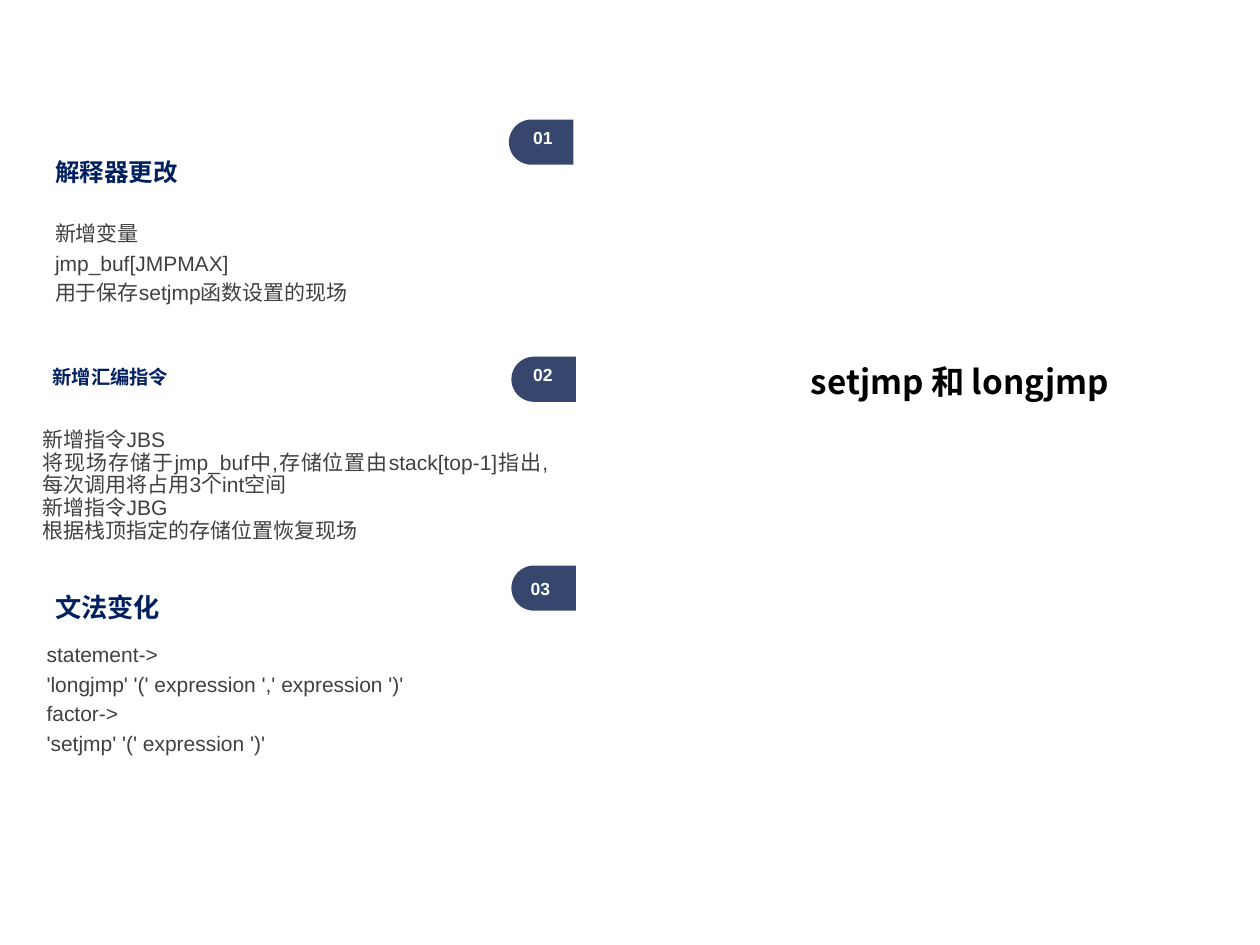
from dataclasses import dataclass

from pptx import Presentation
from pptx.dml.color import RGBColor
from pptx.enum import shapes, text
from pptx.util import Cm, Pt

NAVY = RGBColor(0x00, 0x20, 0x60)
SLATE = RGBColor(0x36, 0x46, 0x6D)
GRAY = RGBColor(0x40, 0x40, 0x40)
WHITE = RGBColor(0xFF, 0xFF, 0xFF)
BLACK = RGBColor(0x00, 0x00, 0x00)

TAB_WIDTH, TAB_HEIGHT = 1.3, 0.91


@dataclass
class Section:
    """Boxes are (left, top, width, height) and places (left, top), in cm."""
    heading: str
    heading_box: tuple
    heading_size: float
    heading_spacing: float
    lines: list
    lines_box: tuple
    lines_spacing: float
    tab_place: tuple
    number_place: tuple
    panel_box: tuple = None


SECTIONS = [
    Section(
        "解释器更改", (0.86, 2.9, 3.58, 1.02), 14, 1.23,
        ["新增变量", "jmp_buf[JMPMAX]", "用于保存setjmp函数设置的现场"],
        (0.86, 4.24, 10.69, 3.84), 1.17,
        (10.26, 2.41), (10.31, 2.41), (0.61, 2.41, 10.95, 4.73)),
    Section(
        "新增汇编指令", (0.81, 7.14, 3.38, 1.02), 11, 1.23,
        ["新增指令JBS",
         "将现场存储于jmp_buf中,存储位置由stack[top-1]指出,每次调用将占用3个int空间",
         "新增指令JBG",
         "根据栈顶指定的存储位置恢复现场"],
        (0.61, 8.53, 10.69, 4.88), 0.9,
        (10.31, 7.19), (10.31, 7.19), (0.61, 7.14, 10.95, 4.67)),
    Section(
        "文法变化", (0.86, 11.73, 3.35, 1.02), 15, 1.1,
        ["statement->", "'longjmp' '(' expression ',' expression ')'",
         "factor->", "'setjmp' '(' expression ')'"],
        (0.69, 12.73, 10.62, 3.84), 1.17,
        (10.31, 11.4), (10.26, 11.51)),
]


def cm_box(box):
    return [Cm(length) for length in box]


def write(frame, lines, size, color, spacing, align, bold=False, font="Arial"):
    frame.word_wrap = True
    frame.auto_size = text.MSO_AUTO_SIZE.NONE
    for index, line in enumerate(lines):
        paragraph = frame.paragraphs[0] if index == 0 else frame.add_paragraph()
        paragraph.text = line
        paragraph.alignment = align
        paragraph.line_spacing = spacing
        paragraph.font.name = font
        paragraph.font.size = Pt(size)
        paragraph.font.bold = bold
        paragraph.font.color.rgb = color


def add_text(slide, box, *args, **kwargs):
    frame = slide.shapes.add_textbox(*cm_box(box)).text_frame
    write(frame, *args, **kwargs)
    return frame


def add_filled(slide, preset, box, color):
    shape = slide.shapes.add_shape(preset, *cm_box(box))
    shape.shadow.inherit = False
    shape.fill.solid()
    shape.fill.fore_color.rgb = color
    shape.line.fill.background()
    return shape


def add_tab(slide, left, top):
    """Tab rounded on its left: a top-rounded rectangle turned a quarter left."""
    shift = (TAB_WIDTH - TAB_HEIGHT) / 2
    tab = add_filled(slide, shapes.MSO_SHAPE.ROUND_2_SAME_RECTANGLE,
                     (left + shift, top - shift, TAB_HEIGHT, TAB_WIDTH), SLATE)
    tab.adjustments[0] = 0.5
    tab.rotation = 270


def add_section(slide, number, section):
    if section.panel_box:
        add_filled(slide, shapes.MSO_SHAPE.RECTANGLE, section.panel_box, WHITE)
    add_tab(slide, *section.tab_place)
    label = add_text(slide, (*section.number_place, 1.27, 0.7), [f"{number:02}"],
                     10, WHITE, 1.03, text.PP_ALIGN.CENTER, bold=True)
    label.vertical_anchor = text.MSO_ANCHOR.MIDDLE
    add_text(slide, section.lines_box, section.lines, 12, GRAY,
             section.lines_spacing, text.PP_ALIGN.JUSTIFY)
    add_text(slide, section.heading_box, [section.heading], section.heading_size,
             NAVY, section.heading_spacing, text.PP_ALIGN.LEFT, bold=True)


def set_title(slide, wording):
    title = slide.shapes.title
    title.left, title.top, title.width, title.height = cm_box((14.82, 6.53, 9.07, 1.55))
    frame = title.text_frame
    frame.vertical_anchor = text.MSO_ANCHOR.BOTTOM
    frame.margin_bottom = 0
    write(frame, [wording], 19, BLACK, 1.23, text.PP_ALIGN.CENTER,
          bold=True, font="Noto Sans CJK SC")


def main():
    deck = Presentation()
    deck.slide_width, deck.slide_height = Cm(25.4), Cm(19.05)
    slide = deck.slides.add_slide(deck.slide_layouts.get_by_name("Title Only"))
    set_title(slide, "setjmp 和 longjmp")
    for number, section in enumerate(SECTIONS, start=1):
        add_section(slide, number, section)
    deck.save("out.pptx")


if __name__ == "__main__":
    main()
